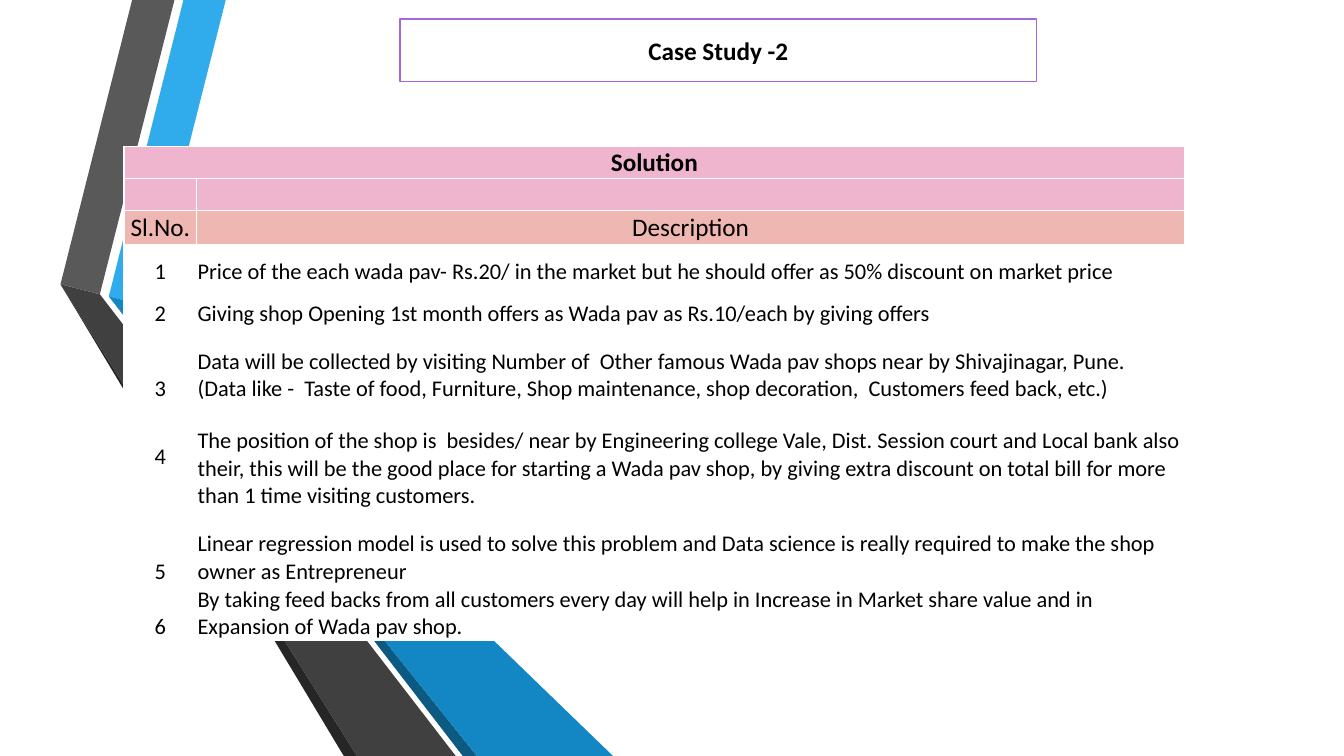
"""Build the case study slide: folded ribbons, a title box and a solution table."""
import dataclasses
import typing

import lxml.etree
import pptx
import pptx.dml.color
import pptx.enum.shapes
import pptx.enum.text
import pptx.oxml.ns
import pptx.util

RGB = pptx.dml.color.RGBColor
ALIGN = pptx.enum.text.PP_ALIGN
ANCHOR = pptx.enum.text.MSO_ANCHOR

WHITE = RGB(0xFF, 0xFF, 0xFF)
BLACK = RGB(0x00, 0x00, 0x00)
PURPLE = RGB(0xA6, 0x66, 0xE1)
PINK = RGB(0xEF, 0xB5, 0xCF)
SALMON = RGB(0xEF, 0xB7, 0xB1)
SKY = RGB(0x30, 0xAC, 0xEC)
BLUE = RGB(0x12, 0x87, 0xC3)
NAVY = RGB(0x0C, 0x5A, 0x82)
GREY = RGB(0x59, 0x59, 0x59)
DARK = RGB(0x40, 0x40, 0x40)
COAL = RGB(0x26, 0x26, 0x26)

FONT = "Calibri"
WIDE = pptx.util.Inches(13.33)
HIGH = pptx.util.Inches(7.5)


@dataclasses.dataclass(frozen=True)
class Ribbon:
    """One ribbon face, its corners in percent of the slide."""
    color: RGB
    points: tuple[tuple[float, float], ...]


@dataclasses.dataclass(frozen=True)
class Row:
    """One table row, its height in percent of the slide."""
    high: float
    label: str
    text: str
    fill: RGB = WHITE
    size: int = 16
    align: ALIGN = ALIGN.LEFT
    anchor: ANCHOR = ANCHOR.BOTTOM


RIBBONS = (
    Ribbon(SKY, ((8.1, 39.2), (11.03, 40.53), (16.8, 0), (13.65, 0))),
    Ribbon(GREY, ((7.43, 38.93), (12.98, 0), (9.83, 0), (4.5, 37.6))),
    Ribbon(COAL, ((4.5, 37.6), (25.58, 100), (26.56, 100))),
    Ribbon(NAVY, ((8.1, 39.2), (34.43, 100), (35.48, 100))),
    Ribbon(BLUE, ((8.1, 39.2), (35.48, 100), (45.61, 100), (11.03, 40.53))),
    Ribbon(DARK, ((4.5, 37.6), (26.56, 100), (33.91, 100), (7.95, 40.13), (7.43, 38.93))),
)

COLS = (5.4, 73.52)
ROWS = (
    Row(4.27, "Solution", "", PINK, 18),
    Row(4.13, "", "", PINK),
    Row(4.53, "Sl.No.", "Description", SALMON, 18, ALIGN.CENTER, ANCHOR.MIDDLE),
    Row(5.47, "1", "Price of the each wada pav- Rs.20/ in the market but he should offer "
        "as 50% discount on market price"),
    Row(5.47, "2", "Giving shop Opening 1st month offers as Wada pav as Rs.10/each by giving offers"),
    Row(10, "3", "Data will be collected by visiting Number of  Other famous Wada pav shops "
        "near by Shivajinagar, Pune.  (Data like -  Taste of food, Furniture, Shop maintenance, "
        "shop decoration,  Customers feed back, etc.)"),
    Row(14.13, "4", "The position of the shop is  besides/ near by Engineering college Vale, "
        "Dist. Session court and Local bank also their, this will be the good place for starting "
        "a Wada pav shop, by giving extra discount on total bill for more than 1 time visiting customers."),
    Row(10, "5", "Linear regression model is used to solve this problem and Data science is "
        "really required to make the shop owner as Entrepreneur"),
    Row(4.27, "6", "By taking feed backs from all customers every day will help in Increase in "
        "Market share value and in Expansion of Wada pav shop."),
)


def across(share: float) -> int:
    """Turn a percentage of the slide width into a length."""
    return round(WIDE * share / 100)


def down(share: float) -> int:
    """Turn a percentage of the slide height into a length."""
    return round(HIGH * share / 100)


def write(frame: typing.Any, text: str, *, size: int = 16, bold: bool = False,
          align: ALIGN = ALIGN.CENTER) -> None:
    """Put formatted text in a frame."""
    line = frame.paragraphs[0]
    line.alignment = align
    run = line.add_run()
    run.text = text
    run.font.name = FONT
    run.font.size = pptx.util.Pt(size)
    run.font.bold = bold
    run.font.color.rgb = BLACK


def edge(cell: typing.Any) -> None:
    """Give a cell thin white borders."""
    props = cell._tc.get_or_add_tcPr()
    for side in ("a:lnL", "a:lnR", "a:lnT", "a:lnB"):
        line = lxml.etree.SubElement(props, pptx.oxml.ns.qn(side), w=str(pptx.util.Pt(1)))
        fill = lxml.etree.SubElement(line, pptx.oxml.ns.qn("a:solidFill"))
        lxml.etree.SubElement(fill, pptx.oxml.ns.qn("a:srgbClr"), val=str(WHITE))


def paint(cell: typing.Any, color: RGB, anchor: ANCHOR) -> None:
    """Set the borders, fill, margins and anchor of a cell."""
    edge(cell)
    cell.fill.solid()
    cell.fill.fore_color.rgb = color
    cell.margin_left = cell.margin_right = cell.margin_top = pptx.util.Inches(0.01)
    cell.margin_bottom = 0
    cell.vertical_anchor = anchor


def draw_ribbon(slide: typing.Any, ribbon: Ribbon) -> None:
    """Draw one ribbon face."""
    first, *rest = [(across(x), down(y)) for x, y in ribbon.points]
    pen = slide.shapes.build_freeform(*first)
    pen.add_line_segments(rest, close=True)
    shape = pen.convert_to_shape()
    shape.shadow.inherit = False
    shape.fill.solid()
    shape.fill.fore_color.rgb = ribbon.color
    shape.line.fill.background()


def draw_title(slide: typing.Any) -> None:
    """Draw the framed title."""
    box = slide.shapes.add_shape(pptx.enum.shapes.MSO_SHAPE.RECTANGLE,
                                 across(29.78), down(2.53), across(47.34), down(8.27))
    box.shadow.inherit = False
    box.fill.solid()
    box.fill.fore_color.rgb = WHITE
    box.line.color.rgb = PURPLE
    box.line.width = pptx.util.Pt(1.25)
    box.text_frame.vertical_anchor = ANCHOR.MIDDLE
    write(box.text_frame, "Case Study -2", size=18, bold=True)


def draw_table(slide: typing.Any) -> None:
    """Draw the solution table."""
    high = sum(row.high for row in ROWS)
    table = slide.shapes.add_table(len(ROWS), len(COLS), across(9.23), down(19.33),
                                   across(sum(COLS)), down(high)).table
    for col, wide in zip(table.columns, COLS):
        col.width = across(wide)
    for band, row in zip(table.rows, ROWS):
        band.height = down(row.high)
        mark, body = band.cells
        paint(mark, row.fill, ANCHOR.MIDDLE if row.label == "4" else row.anchor)
        paint(body, row.fill, row.anchor)
        if row.label:
            write(mark.text_frame, row.label, size=row.size, bold=row.label == "Solution")
        if row.text:
            write(body.text_frame, row.text, size=row.size, align=row.align)
    table.cell(0, 0).merge(table.cell(0, 1))


def main() -> None:
    """Build and save the slide."""
    deck = pptx.Presentation()
    deck.slide_width, deck.slide_height = WIDE, HIGH
    slide = deck.slides.add_slide(deck.slide_layouts[6])
    for ribbon in RIBBONS:
        draw_ribbon(slide, ribbon)
    draw_title(slide)
    draw_table(slide)
    deck.save("out.pptx")


if __name__ == "__main__":
    main()
